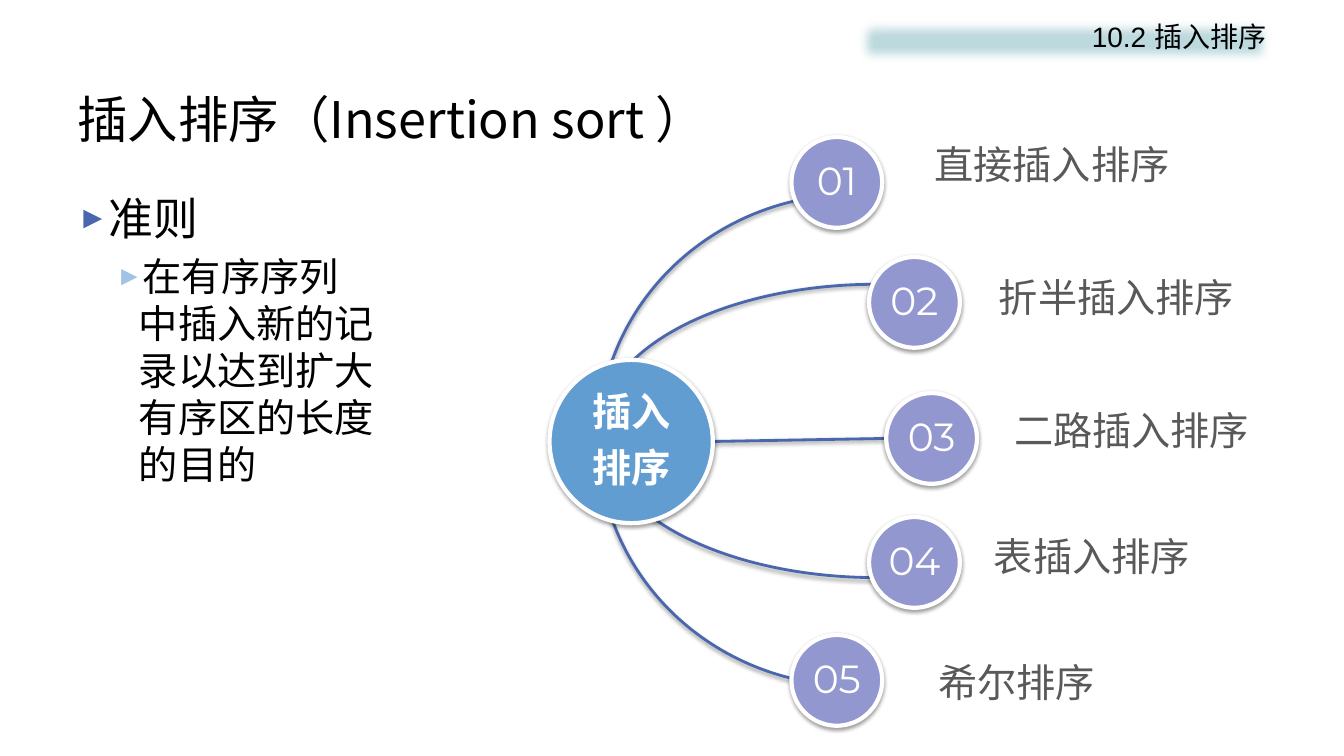
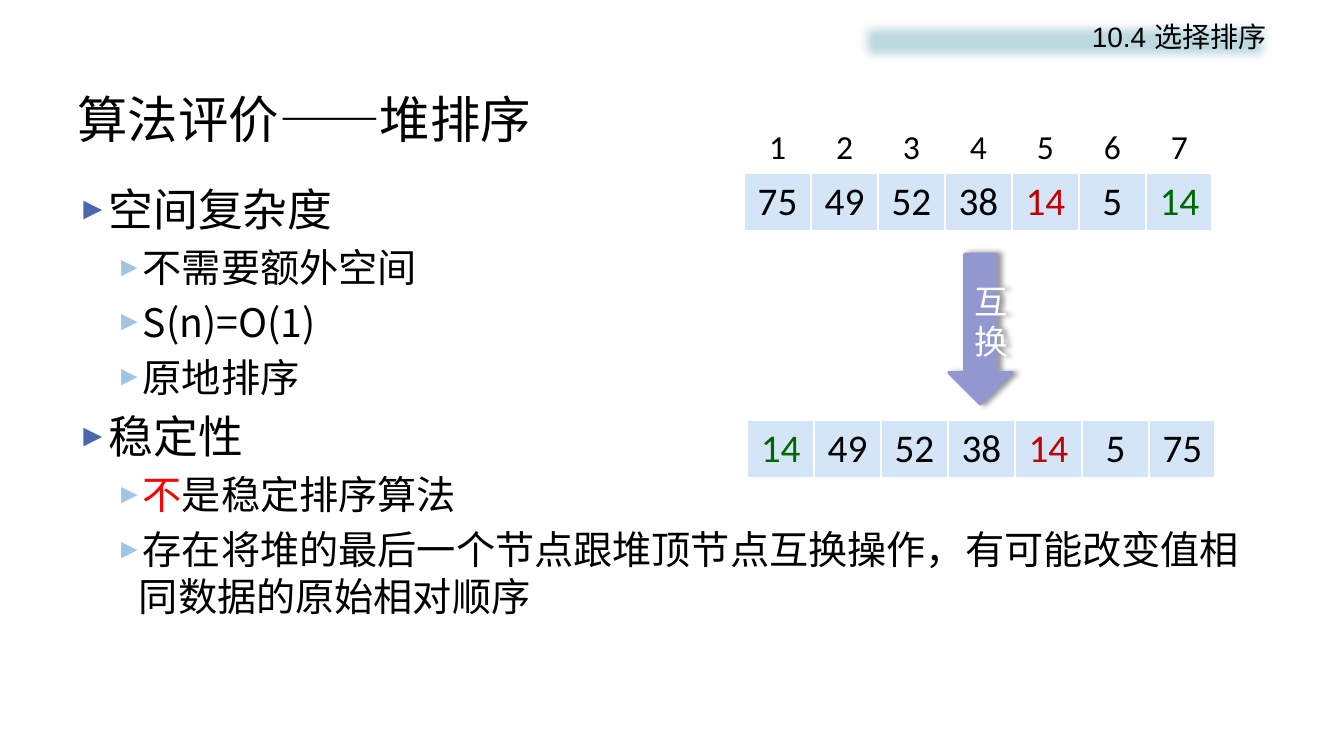
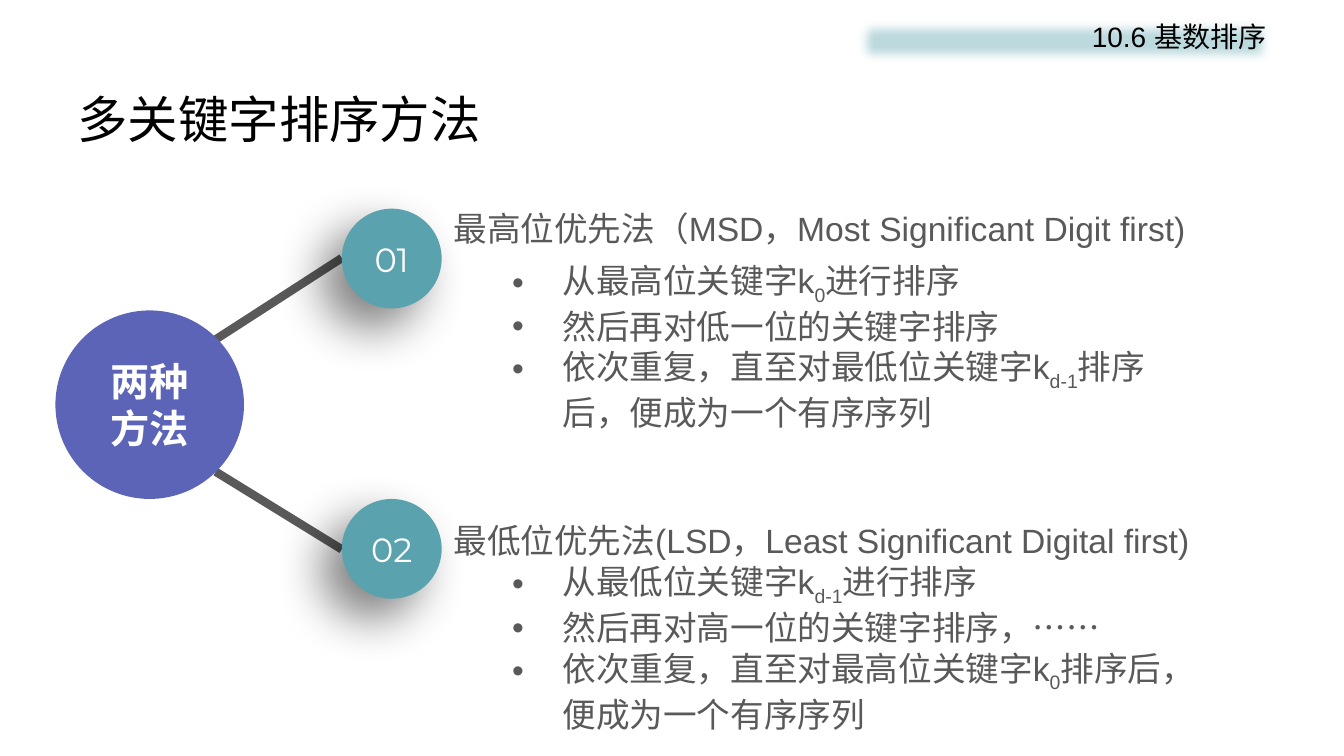
import pptx
import pptx.util
import pptx.dml.color
import pptx.enum.shapes
import pptx.enum.text
from lxml import etree
from pptx.oxml.ns import qn

Inches, Pt = pptx.util.Inches, pptx.util.Pt
SHAPE = pptx.enum.shapes.MSO_SHAPE
ALIGN = pptx.enum.text.PP_ALIGN
ANCHOR = pptx.enum.text.MSO_ANCHOR

COLORS = {
    "black": "000000", "white": "FFFFFF", "gray": "595959", "red": "FF0000",
    "band": "BDDADF", "navy": "4A66AC", "sky": "A1C4E3", "blue": "629DD1",
    "lilac": "9297CF", "indigo": "5C64B7", "teal": "5AA2AE",
    "cell": "D4E5F7", "crimson": "C00000", "green": "006600",
}
CJK = "Noto Sans CJK SC"
SOFT_SHADOW = (38, 3.1, 1.6, 90)
ARROW_SHADOW = (40, 4, 3, 0)
DEEP_SHADOW = (50, 35, 20, 135)

INSERTION = {
    "section": "10.2 插入排序",
    "title": "插入排序（Insertion sort ）",
    "box": (0.67, 1.84, 3.14, 5.04),
    "outline": [(0, "准则"), (1, "在有序序列中插入新的记录以达到扩大有序区的长度的目的")],
}
HUB = (5.45, 3.57, 1.62)
ARCS = [(7.23, 1.53, 2.91, 5.49), (6.04, 1.82, 4.88, 5.09)]
BRANCHES = [
    ("直接插入排序", (7.85, 1.36), (9.17, 1.34)),
    ("折半插入排序", (8.62, 2.55), (9.81, 2.66)),
    ("二路插入排序", (8.79, 3.9), (9.96, 3.98)),
    ("表插入排序", (8.62, 5.13), (9.76, 5.23)),
    ("希尔排序", (7.85, 6.3), (9.21, 6.48)),
]

HEAP = {
    "section": "10.4 选择排序",
    "title": "算法评价——堆排序",
    "box": (0.67, 1.75, 12, 4.95),
    "outline": [
        (0, "空间复杂度"),
        (1, "不需要额外空间"),
        (1, "S(n)=O(1)"),
        (1, "原地排序"),
        (0, "稳定性"),
        (1, [("不", "red"), ("是稳定排序算法", None)]),
        (1, "存在将堆的最后一个节点跟堆顶节点互换操作，有可能改变值相同数据的原始相对顺序"),
    ],
}
BEFORE = [75, 49, 52, 38, 14, 5, 14]
AFTER = [14, 49, 52, 38, 14, 5, 75]
BEFORE_MARKS = {4: "crimson", 6: "green"}
AFTER_MARKS = {0: "green", 4: "crimson"}

RADIX = {"section": "10.6 基数排序", "title": "多关键字排序方法"}
METHODS = [
    {"number": "01", "circle": 2.07, "head": 1.81, "steps_top": 2.53,
     "line": (2.12, 3.38, 3.39, 2.56),
     "name": "最高位优先法（MSD，Most Significant Digit first)",
     "steps": [
         [("从最高位关键字k", None), ("0", "sub"), ("进行排序", None)],
         "然后再对低一位的关键字排序",
         [("依次重复，直至对最低位关键字k", None), ("d-1", "sub"),
          ("排序后，便成为一个有序序列", None)]]},
    {"number": "02", "circle": 4.95, "head": 4.91, "steps_top": 5.52,
     "line": (2.14, 4.68, 3.39, 5.45),
     "name": "最低位优先法(LSD，Least Significant Digital first)",
     "steps": [
         [("从最低位关键字k", None), ("d-1", "sub"), ("进行排序", None)],
         "然后再对高一位的关键字排序，……",
         [("依次重复，直至对最高位关键字k", None), ("0", "sub"),
          ("排序后，便成为一个有序序列", None)]]},
]


def rgb(name):
    return pptx.dml.color.RGBColor.from_string(COLORS[name])


def add_xml(parent, tag, **attributes):
    return etree.SubElement(parent, qn(tag), attributes)


def add_effects(shape):
    properties = shape._element.spPr
    effects = properties.find(qn("a:effectLst"))
    return add_xml(properties, "a:effectLst") if effects is None else effects


def add_shadow(shape, settings):
    opacity, blur, distance, angle = settings
    shadow = add_xml(add_effects(shape), "a:outerShdw", blurRad=str(int(Pt(blur))),
                     dist=str(int(Pt(distance))), dir=str(angle * 60000),
                     algn="ctr", rotWithShape="0")
    color = add_xml(shadow, "a:srgbClr", val=COLORS["black"])
    add_xml(color, "a:alpha", val=str(opacity * 1000))


def add_bullet(para, mark, left, hanging, color=None, percent=None):
    properties = para._p.get_or_add_pPr()
    properties.set("marL", str(Inches(left)))
    properties.set("indent", str(-Inches(hanging)))
    if color:
        add_xml(add_xml(properties, "a:buClr"), "a:srgbClr", val=COLORS[color])
    if percent:
        add_xml(properties, "a:buSzPct", val=str(percent * 1000))
    add_xml(properties, "a:buFont", typeface="Arial")
    add_xml(properties, "a:buChar", char=mark)


def write(para, content, size, font, color, bold=False):
    para.font.size = Pt(size)
    para.font.bold = bold
    para.font.color.rgb = rgb(color)
    para.font.name = font
    add_xml(para.font._element, "a:ea", typeface=CJK)
    spans = [(content, None)] if isinstance(content, str) else content
    for text, mark in spans:
        span = para.add_run()
        span.text = text
        if mark == "sub":
            span._r.get_or_add_rPr().set("baseline", "-25000")
        elif mark:
            span.font.color.rgb = rgb(mark)


def paragraphs(frame, contents):
    for index, content in enumerate(contents):
        yield (frame.add_paragraph() if index else frame.paragraphs[0]), content


def add_box(page, place, anchor=ANCHOR.TOP):
    frame = page.shapes.add_textbox(*map(Inches, place)).text_frame
    frame.word_wrap = True
    frame.vertical_anchor = anchor
    return frame


def add_label(page, place, text, spacing=1.0):
    para = add_box(page, place).paragraphs[0]
    para.line_spacing = spacing
    return para, text


def add_figure(page, kind, place, fill=None, line=None, width=2, shadow=None):
    shape = page.shapes.add_shape(kind, *map(Inches, place))
    shape.shadow.inherit = False
    if fill:
        shape.fill.solid()
        shape.fill.fore_color.rgb = rgb(fill)
    else:
        shape.fill.background()
    if line:
        shape.line.color.rgb = rgb(line)
        shape.line.width = Pt(width)
    else:
        shape.line.fill.background()
    if shadow:
        add_shadow(shape, shadow)
    return shape


def add_circle(page, place, lines, fill, size, font, bold=False, spacing=1.0,
               after=0, line=None, shadow=None):
    left, top, side = place
    circle = add_figure(page, SHAPE.OVAL, (left, top, side, side), fill, line, 3, shadow)
    frame = circle.text_frame
    frame.margin_left = frame.margin_right = frame.margin_top = frame.margin_bottom = 0
    frame.vertical_anchor = ANCHOR.MIDDLE
    for para, text in paragraphs(frame, lines):
        para.alignment = ALIGN.CENTER
        para.line_spacing = spacing
        para.space_after = Pt(after)
        write(para, text, size, font, "white", bold)


def add_line(page, ends, color, width, shadow=None):
    line = page.shapes.add_connector(pptx.enum.shapes.MSO_CONNECTOR.STRAIGHT,
                                     *map(Inches, ends))
    line.line.color.rgb = rgb(color)
    line.line.width = Pt(width)
    add_effects(line)
    if shadow:
        add_shadow(line, shadow)


def add_page(deck, content):
    page = deck.slides.add_slide(deck.slide_layouts[6])
    band = add_figure(page, SHAPE.RECTANGLE, (8.46, 0.14, 4.2, 0.54), "band")
    add_xml(add_effects(band), "a:softEdge", rad=str(Inches(0.12)))
    band.text_frame.vertical_anchor = ANCHOR.TOP
    para = band.text_frame.paragraphs[0]
    para.alignment = ALIGN.RIGHT
    write(para, content["section"], 20, "Arial", "black")
    title = add_box(page, (0.67, 0.8, 12, 0.75), ANCHOR.MIDDLE)
    write(title.paragraphs[0], content["title"], 36, CJK, "black")
    return page


def add_outline(page, content):
    levels = [(32, 0.28, 0.28, "navy"), (28, 0.61, 0.23, "sky")]
    frame = add_box(page, content["box"])
    for index, (para, (level, text)) in enumerate(paragraphs(frame, content["outline"])):
        size, left, hanging, color = levels[level]
        para.level = level
        if index:
            para.space_before = Pt(size * 0.2)
        add_bullet(para, "►", left, hanging, color, 70)
        write(para, text, size, CJK, "black")


def add_array(page, left, top, rows):
    width = 4.65
    count = len(rows[0]["values"])
    height = sum(row["height"] for row in rows)
    table = page.shapes.add_table(len(rows), count, *map(Inches, (left, top, width, height))).table
    table.first_row = table.horz_banding = False
    for column in table.columns:
        column.width = Inches(width / count)
    for row_index, row in enumerate(rows):
        table.rows[row_index].height = Inches(row["height"])
        for index, value in enumerate(row["values"]):
            cell = table.cell(row_index, index)
            cell.margin_left = cell.margin_right = Inches(0.05)
            cell.margin_top = cell.margin_bottom = Inches(0.05)
            cell.vertical_anchor = ANCHOR.MIDDLE
            properties = cell._tc.get_or_add_tcPr()
            for side in ("a:lnL", "a:lnR"):
                border = add_xml(properties, side, w=str(Pt(2.25)))
                add_xml(add_xml(border, "a:solidFill"), "a:srgbClr", val=COLORS["white"])
            if row["fill"]:
                cell.fill.solid()
                cell.fill.fore_color.rgb = rgb(row["fill"])
            else:
                cell.fill.background()
            para = cell.text_frame.paragraphs[0]
            para.alignment = ALIGN.CENTER
            write(para, str(value), row["size"], "Calibri", row["marks"].get(index, "black"))


def build_insertion(deck):
    page = add_page(deck, INSERTION)
    for place in ARCS:
        arc = add_figure(page, SHAPE.ARC, place, line="navy", shadow=SOFT_SHADOW)
        arc.rotation = 270
        arc.adjustments[0] = 107.85
        arc.adjustments[1] = 0.55
    add_line(page, (7.06, 4.38, 8.79, 4.35), "navy", 2, SOFT_SHADOW)
    add_outline(page, INSERTION)
    ring = {"spacing": 0.9, "after": 10, "line": "white", "shadow": SOFT_SHADOW}
    add_circle(page, HUB, ["插入", "排序"], "blue", 28, "Arial", True, **ring)
    ring["after"] = 0
    for number, (name, circle, label) in enumerate(BRANCHES, 1):
        add_circle(page, (*circle, 0.9), [f"{number:02}"], "lilac", 28, "Montserrat", **ring)
        write(*add_label(page, (*label, 3, 0.57), name), 28, "Arial", "gray")


def build_heap(deck):
    page = add_page(deck, HEAP)
    add_outline(page, HEAP)
    value_row = {"height": 0.57, "size": 28, "fill": "cell"}
    index_row = {"height": 0.5, "size": 24, "fill": None, "marks": {},
                 "values": range(1, len(BEFORE) + 1)}
    add_array(page, 7.38, 1.22, [index_row, {**value_row, "values": BEFORE, "marks": BEFORE_MARKS}])
    add_array(page, 7.41, 4.17, [{**value_row, "values": AFTER, "marks": AFTER_MARKS}])
    arrow = add_figure(page, SHAPE.DOWN_ARROW, (9.41, 2.52, 0.63, 1.49),
                       "lilac", "lilac", shadow=ARROW_SHADOW)
    arrow.text_frame.word_wrap = True
    arrow.text_frame.vertical_anchor = ANCHOR.MIDDLE
    para = arrow.text_frame.paragraphs[0]
    para.alignment = ALIGN.CENTER
    write(para, "互换", 24, "Arial", "white")


def build_radix(deck):
    page = add_page(deck, RADIX)
    for method in METHODS:
        add_line(page, method["line"], "gray", 6)
        add_circle(page, (3.39, method["circle"], 0.99), [method["number"]],
                   "teal", 24, "Montserrat", shadow=DEEP_SHADOW)
        write(*add_label(page, (4.4, method["head"], 8.49, 0.61), method["name"], 1.5),
              24, "Arial", "gray")
        frame = add_box(page, (4.98, method["steps_top"], 6.72, 1.72))
        for para, step in paragraphs(frame, method["steps"]):
            add_bullet(para, "•", 0.5, 0.5)
            write(para, step, 24, "Arial", "gray")
    add_circle(page, (0.55, 3.08, 1.87), ["两种", "方法"], "indigo", 28, CJK, True)


def main():
    deck = pptx.Presentation()
    deck.slide_width, deck.slide_height = Inches(13.33), Inches(7.5)
    build_insertion(deck)
    build_heap(deck)
    build_radix(deck)
    deck.save("out.pptx")


if __name__ == "__main__":
    main()
